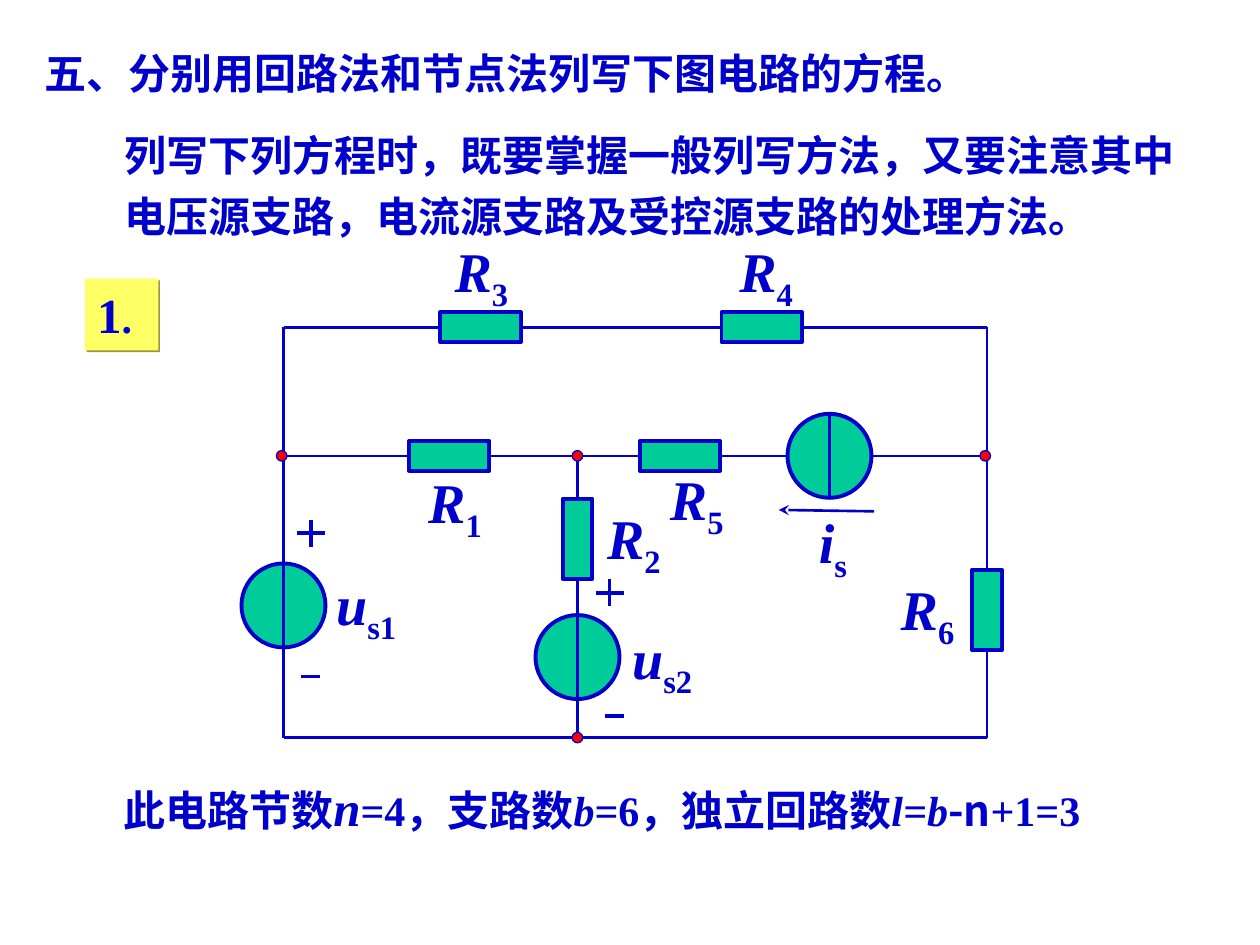
from typing import NamedTuple, Optional

from lxml import etree
from pptx import Presentation
from pptx.dml.color import RGBColor
from pptx.enum.shapes import MSO_CONNECTOR, MSO_SHAPE
from pptx.enum.text import MSO_ANCHOR, MSO_AUTO_SIZE, PP_ALIGN
from pptx.oxml.ns import qn
from pptx.util import Pt

RECT, OVAL = MSO_SHAPE.RECTANGLE, MSO_SHAPE.OVAL
STRAIGHT = MSO_CONNECTOR.STRAIGHT
TOP, MIDDLE, LEFT = MSO_ANCHOR.TOP, MSO_ANCHOR.MIDDLE, PP_ALIGN.LEFT
NO_FIT, GROW = MSO_AUTO_SIZE.NONE, MSO_AUTO_SIZE.SHAPE_TO_FIT_TEXT

BLUE, GREEN, RED = "0000CC", "00CC99", "FF0000"
YELLOW, OLIVE = "FFFF66", "98983C"
SERIF, CJK = "Times New Roman", "Noto Sans CJK SC"

# Circuit grid, in points
X_LEFT, X_MID, X_RIGHT = 162, 330, 564
Y_TOP, Y_MID, Y_BOTTOM = 187, 260.5, 421.5
LONG, SHORT, SOURCE, NODE = 46, 17, 48, 6
SIDE_TOP, SIDE_LEFT, SIDE_BOTTOM, SIDE_RIGHT = range(4)


class Span(NamedTuple):
    text: str
    size: float = 24
    italic: bool = False
    font: str = SERIF
    baseline: int = 0


class Resistor(NamedTuple):
    name: str
    x: float
    y: float
    upright: bool = False


class Wire(NamedTuple):
    x1: float
    y1: float
    x2: float
    y2: float
    start: Optional[tuple] = None  # resistor name and side
    end: Optional[tuple] = None


class Label(NamedTuple):
    letter: str
    index: str
    x: float
    y: float
    width: float = 61


def color(value: str) -> RGBColor:
    return RGBColor.from_string(value)


def apply(target, values: dict) -> None:
    for name, value in values.items():
        setattr(target, name, value)


def write(box, spans: list, frame_format: dict, para_format: dict) -> None:
    apply(box.text_frame, frame_format)
    para = box.text_frame.paragraphs[0]
    apply(para, {"alignment": LEFT, "space_before": Pt(0), **para_format})
    for item in spans:
        span = para.add_run()
        span.text = item.text
        apply(span.font, {"size": Pt(item.size), "bold": True,
                          "italic": item.italic, "name": item.font})
        span.font.color.rgb = color(BLUE)
        props = span._r.get_or_add_rPr()
        etree.SubElement(props, qn("a:ea"), typeface=CJK)
        if item.baseline:
            props.set("baseline", str(item.baseline * 1000))


def place(box, x: float, y: float, width: float, height: float) -> None:
    apply(box, {"left": Pt(x), "top": Pt(y), "width": Pt(width), "height": Pt(height)})


def add_text(page, area: tuple, spans: list, **frame_format):
    box = page.shapes.add_textbox(*map(Pt, area))
    write(box, spans, {"word_wrap": True, "auto_size": GROW, **frame_format}, {})


def add_part(page, kind, x: float, y: float, width: float, height: float,
             fill: str = GREEN, weight: float = 2.25):
    """Draw a filled shape centred on x, y."""
    part = page.shapes.add_shape(kind, Pt(x - width / 2), Pt(y - height / 2),
                                 Pt(width), Pt(height))
    part.shadow.inherit = False
    part.fill.solid()
    part.fill.fore_color.rgb = color(fill)
    part.line.color.rgb = color(BLUE)
    part.line.width = Pt(weight)
    return part


def add_line(page, x1: float, y1: float, x2: float, y2: float, weight: float = 1.5):
    line = page.shapes.add_connector(STRAIGHT, Pt(x1), Pt(y1), Pt(x2), Pt(y2))
    line.line.color.rgb = color(BLUE)
    line.line.width = Pt(weight)
    etree.SubElement(line._element.spPr, qn("a:effectLst"))
    return line


def add_polarity(page, x: float, plus_y: float, minus_x: float, minus_y: float) -> None:
    add_line(page, x - 8, plus_y, x + 8, plus_y, 2.25)
    add_line(page, x, plus_y - 7.5, x, plus_y + 7.5, 2.25)
    add_line(page, minus_x - 5.5, minus_y, minus_x + 5.5, minus_y, 2.25)


RESISTORS = [
    Resistor("R3", 274.7, Y_TOP), Resistor("R4", 435.3, Y_TOP),
    Resistor("R1", 256.7, Y_MID), Resistor("R5", 388.5, Y_MID),
    Resistor("R2", X_MID, 308, True), Resistor("R6", X_RIGHT, 348.5, True),
]
SOURCES = [(X_LEFT, 346), (X_MID, 375.5), (474, Y_MID)]
NODES = [(X_LEFT - 1, Y_MID), (X_MID, Y_MID), (X_RIGHT - 1, Y_MID), (X_MID, Y_BOTTOM)]
WIRES = [
    Wire(X_LEFT, Y_TOP, 252, Y_TOP, end=("R3", SIDE_LEFT)),
    Wire(298, Y_TOP, 412, Y_TOP, ("R3", SIDE_RIGHT), ("R4", SIDE_LEFT)),
    Wire(458, Y_TOP, X_RIGHT, Y_TOP, ("R4", SIDE_RIGHT)),
    Wire(X_LEFT, Y_MID, 234, Y_MID, end=("R1", SIDE_LEFT)),
    Wire(280, Y_MID, 366, Y_MID, ("R1", SIDE_RIGHT), ("R5", SIDE_LEFT)),
    Wire(411, Y_MID, 450, Y_MID, ("R5", SIDE_RIGHT)),
    Wire(498, Y_MID, X_RIGHT, Y_MID),
    Wire(X_LEFT, Y_TOP, X_LEFT, 322),
    Wire(X_LEFT, 370, X_LEFT, Y_BOTTOM),
    Wire(X_MID, Y_MID, X_MID, 285, end=("R2", SIDE_TOP)),
    Wire(X_MID, 331, X_MID, 351.5, ("R2", SIDE_BOTTOM)),
    Wire(X_MID, 399.5, X_MID, Y_BOTTOM),
    Wire(X_RIGHT, Y_TOP, X_RIGHT, 325, end=("R6", SIDE_TOP)),
    Wire(X_RIGHT, 372, X_RIGHT, Y_BOTTOM, ("R6", SIDE_BOTTOM)),
    Wire(X_LEFT, Y_BOTTOM, X_RIGHT, Y_BOTTOM),
]
LABELS = [
    Label("R", "3", 252.7, 131.8), Label("R", "4", 415.4, 131.8),
    Label("R", "1", 237.6, 263.5), Label("R", "5", 375.8, 262),
    Label("R", "2", 339.8, 284.4, 48), Label("R", "6", 507.6, 324.7),
    Label("u", "s1", 185, 321.8, 54), Label("u", "s2", 354.2, 352.8, 60),
    Label("i", "s", 460.8, 286.6, 42),
]


def draw_circuit(page) -> None:
    resistors = {}
    for item in RESISTORS:
        size = (SHORT, LONG) if item.upright else (LONG, SHORT)
        resistors[item.name] = add_part(page, RECT, item.x, item.y, *size)
    for x, y in SOURCES:
        add_part(page, OVAL, x, y, SOURCE, SOURCE)
        add_line(page, x, y - SOURCE / 2, x, y + SOURCE / 2)
    for wire in WIRES:
        line = add_line(page, *wire[:4])
        if wire.start:
            line.begin_connect(resistors[wire.start[0]], wire.start[1])
        if wire.end:
            line.end_connect(resistors[wire.end[0]], wire.end[1])
    for x, y in NODES:
        add_part(page, OVAL, x, y, NODE, NODE, RED, 0.75)

    # Current direction and voltage polarity
    arrow = add_line(page, 499.5, 292.2, 445, 291.4)
    etree.SubElement(arrow.line._get_or_add_ln(), qn("a:tailEnd"), type="stealth")
    add_polarity(page, 177.5, 304.8, 177.5, 386.6)
    add_polarity(page, 348.3, 338.6, 351, 409)

    for label in LABELS:
        add_text(page, (label.x, label.y, label.width, 51),
                 [Span(label.letter, 32, True), Span(label.index, 32, baseline=-25)])


def main() -> None:
    deck = Presentation()
    deck.slide_width, deck.slide_height = Pt(720), Pt(540)
    page = deck.slides.add_slide(deck.slide_layouts[1])
    title, body = page.placeholders
    frame_format = {"word_wrap": True, "auto_size": NO_FIT, "vertical_anchor": TOP}

    # Heading and advice
    place(title, 18, 23.8, 618, 36)
    write(title, [Span("五、分别用回路法和节点法列写下图电路的方程。")], frame_format, {})
    place(body, 64, 64.8, 624, 76)
    props = body.text_frame.paragraphs[0]._p.get_or_add_pPr()
    apply_indent = {"marL": "0", "indent": "0"}
    for name, value in apply_indent.items():
        props.set(name, value)
    etree.SubElement(props, qn("a:buNone"))
    write(body, [Span("列写下列方程时，既要掌握一般列写方法，又要注意其中"
                      "电压源支路，电流源支路及受控源支路的处理方法。")],
          frame_format, {"line_spacing": 1.2})

    # Counts of nodes, branches and loops
    add_text(page, (63.4, 440.6, 589.7, 41),
             [Span("此电路节数"), Span("n", 28, True), Span("=4，支路数"),
              Span("b", italic=True), Span("=6，独立回路数"), Span("l=b", italic=True),
              Span("-n", font=CJK), Span("+1=3")],
             word_wrap=False, vertical_anchor=MIDDLE)

    # Number tag with a hard shadow
    tag = add_part(page, RECT, 69.5, 179.8, 42, 41, YELLOW)
    tag.line.fill.background()
    effects = tag._element.spPr.find(qn("a:effectLst"))
    shadow = etree.SubElement(effects, qn("a:outerShdw"), blurRad="0",
                              dist=str(Pt(1.4)), dir="2700000", algn="ctr")
    etree.SubElement(shadow, qn("a:srgbClr"), val=OLIVE)
    write(tag, [Span("1", 28), Span(".")], {**frame_format, "auto_size": GROW}, {})

    draw_circuit(page)
    deck.save("out.pptx")


if __name__ == "__main__":
    main()
